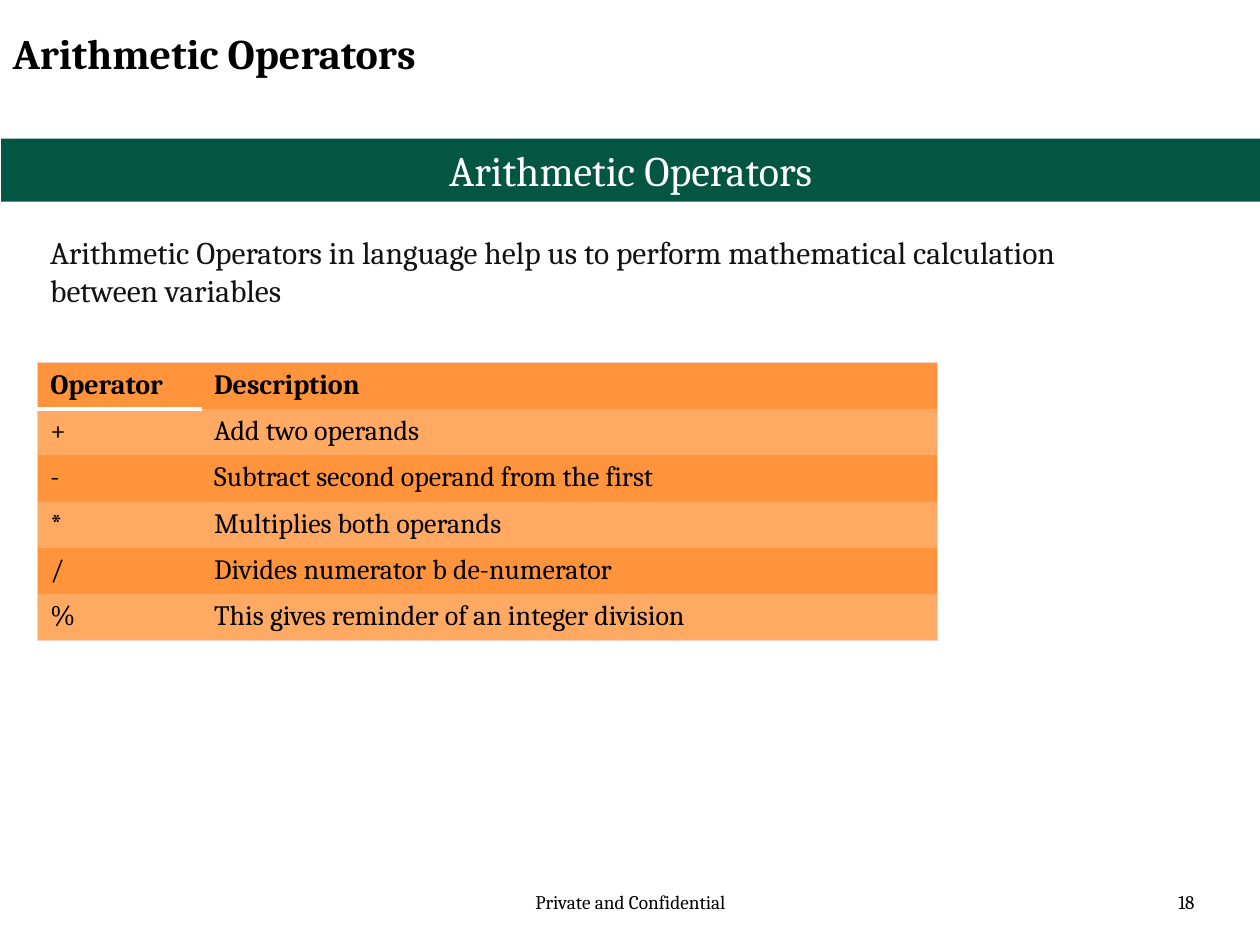
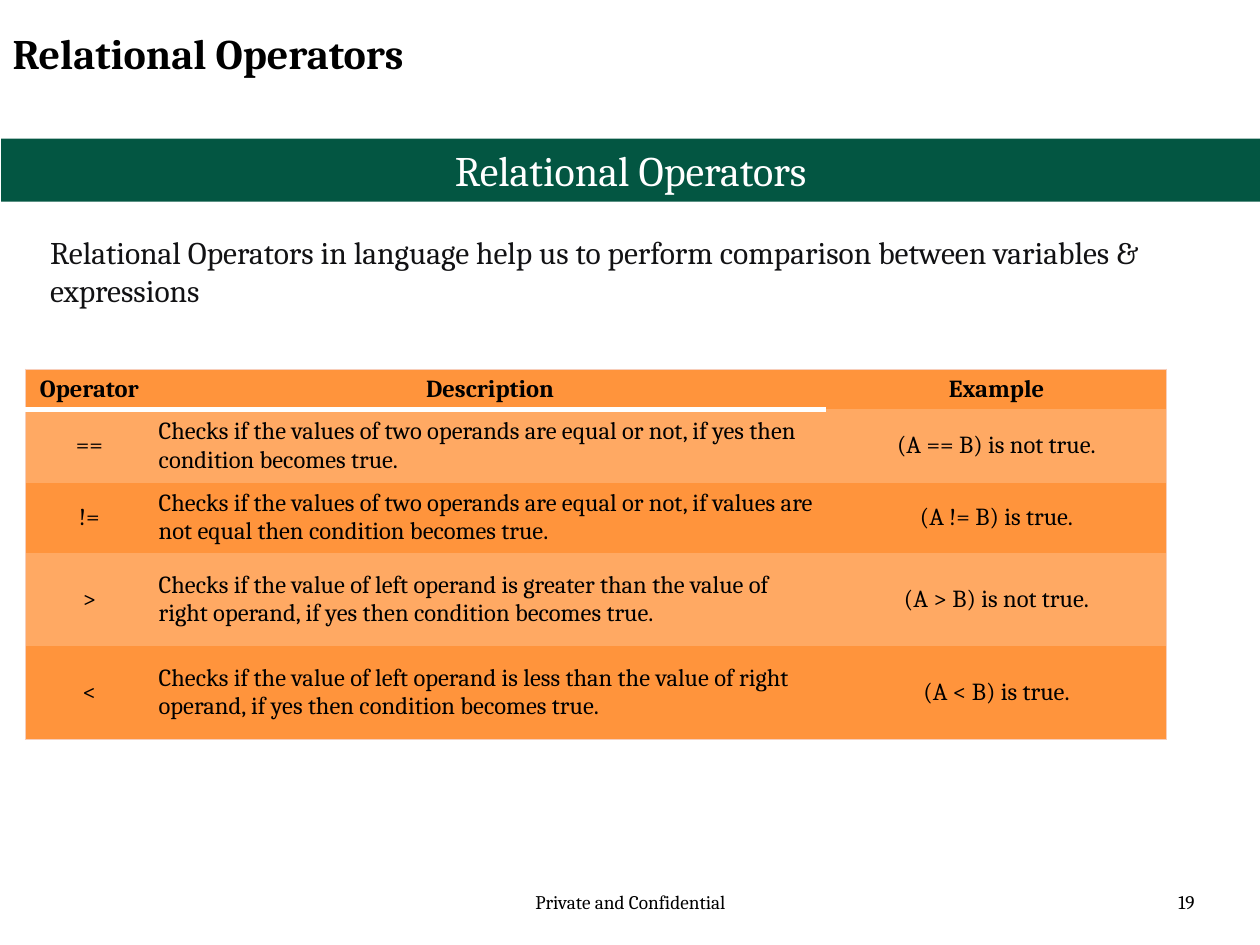
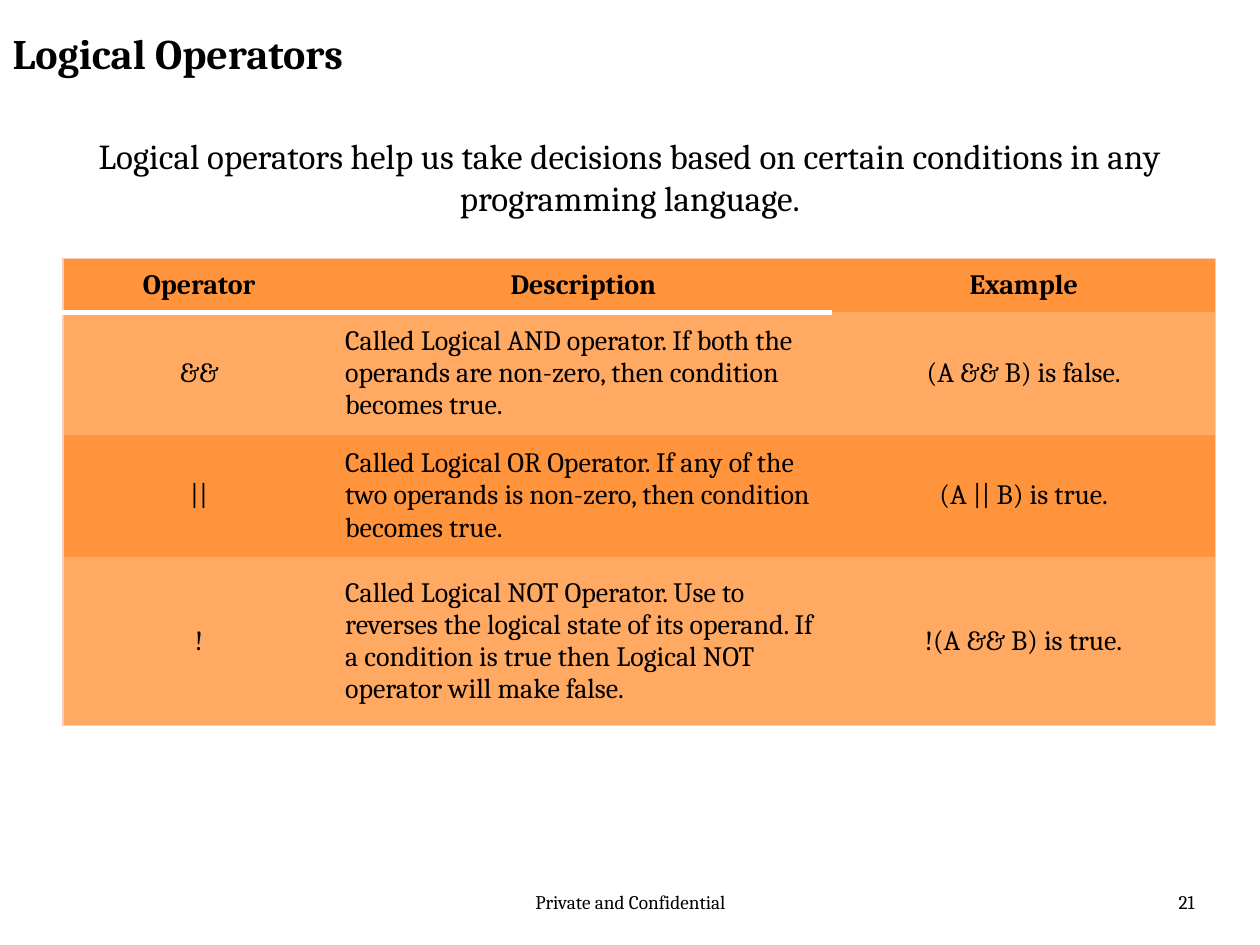
from lxml import etree
from pptx import Presentation
from pptx.dml.color import RGBColor
from pptx.enum.shapes import MSO_SHAPE
from pptx.enum.text import MSO_ANCHOR, PP_ALIGN
from pptx.oxml.ns import qn
from pptx.util import Inches, Pt

# Shared look
FONT = "Cambria"
BLACK = RGBColor(0x00, 0x00, 0x00)
INK = RGBColor(0x12, 0x12, 0x14)
WHITE = RGBColor(0xFF, 0xFF, 0xFF)
GREEN = RGBColor(0x03, 0x56, 0x42)
ORANGE = RGBColor(0xFF, 0x94, 0x3C)
LIGHT_ORANGE = RGBColor(0xFF, 0xA9, 0x63)
PEACH = RGBColor(0xF7, 0xCE, 0xBB)
LEFT, CENTER, RIGHT = PP_ALIGN.LEFT, PP_ALIGN.CENTER, PP_ALIGN.RIGHT
TOP, MIDDLE = MSO_ANCHOR.TOP, MSO_ANCHOR.MIDDLE
RECTANGLE = MSO_SHAPE.RECTANGLE
TITLE_ONLY = 5
NO_GRID_STYLE = "{2D5ABB26-0587-4C30-8999-92F81FD0307C}"
FOOTER = "Private and Confidential"


def box(*lengths):
    return [Inches(n) for n in lengths]


def write(tf, text, size, color=BLACK, align=LEFT, bold=False):
    p = tf.paragraphs[0]
    p.alignment = align
    r = p.add_run()
    r.text = text
    r.font.color.rgb = color
    for name, value in {"name": FONT, "size": Pt(size), "bold": bold}.items():
        setattr(r.font, name, value)


def add_text(s, text, at, size, color=BLACK, align=LEFT):
    tf = s.shapes.add_textbox(*box(*at)).text_frame
    tf.word_wrap = True
    write(tf, text, size, color, align)


def add_base(prs, title, number):
    """Slide with the title and the footer line."""
    s = prs.slides.add_slide(prs.slide_layouts[TITLE_ONLY])
    sp = s.shapes.title
    sp.left, sp.top, sp.width, sp.height = box(0, 0.17, 7.58, 0.62)
    sp.text_frame.vertical_anchor = TOP
    write(sp.text_frame, title, 24, bold=True)
    add_text(s, FOOTER, (3.42, 7.02, 3.17, 0.4), 11, align=CENTER)
    add_text(s, str(number), (7.25, 7.02, 2.33, 0.4), 11, align=RIGHT)
    return s


def add_band(s, text):
    sp = s.shapes.add_shape(RECTANGLE, *box(0.01, 1.1, 9.99, 0.5))
    sp.shadow.inherit = False
    sp.fill.solid()
    sp.fill.fore_color.rgb = GREEN
    sp.line.fill.background()
    write(sp.text_frame, text, 24, WHITE, CENTER)


def add_border(cell, side, color, width):
    ln = etree.SubElement(cell._tc.get_or_add_tcPr(), qn(f"a:ln{side}"), w=str(Pt(width)))
    fill = etree.SubElement(ln, qn("a:solidFill"))
    etree.SubElement(fill, qn("a:srgbClr"), val=str(color))


def add_operator_table(s, at, widths, heights, rows, size, inset=None):
    """Striped table; an inset also centres every column but the description."""
    left, top = at
    frame = s.shapes.add_table(len(rows), len(widths),
                               *box(left, top, sum(widths), sum(heights)))
    table = frame.table
    table._tbl.tblPr.find(qn("a:tableStyleId")).text = NO_GRID_STYLE
    for column, width in zip(table.columns, widths):
        column.width = Inches(width)
    for row, height in zip(table.rows, heights):
        row.height = Inches(height)

    last_row, last_col = len(rows) - 1, len(widths) - 1
    for i, values in enumerate(rows):
        for j, text in enumerate(values):
            cell = table.cell(i, j)
            # Outer frame, and a white rule below the header
            edges = {"L": j == 0, "R": j == last_col, "T": i == 0, "B": i == last_row}
            for side, on_edge in edges.items():
                if on_edge:
                    add_border(cell, side, PEACH, 0.75)
            if i == 0 and j < last_col:
                add_border(cell, "B", WHITE, 3)
            cell.fill.solid()
            cell.fill.fore_color.rgb = LIGHT_ORANGE if i % 2 else ORANGE

            align = LEFT
            if inset:
                cell.vertical_anchor = MIDDLE
                for side in ("left", "right", "top", "bottom"):
                    setattr(cell, f"margin_{side}", Inches(inset))
                if i == 0 or j != 1:
                    align = CENTER
            write(cell.text_frame, text, size, align=align, bold=i == 0)


def add_banded(prs, title, number, intro):
    s = add_base(prs, title, number)
    add_band(s, title)
    add_text(s, intro, (0.3, 1.8, 8.9, 0.71), 18, INK)
    return s


def main():
    prs = Presentation()
    prs.slide_width, prs.slide_height = box(10, 7.5)

    # Arithmetic operators
    s = add_banded(prs, "Arithmetic Operators", 18,
                   "Arithmetic Operators in language help us to perform "
                   "mathematical calculation between variables")
    rows = [
        ("Operator", "Description"),
        ("+", "Add two operands"),
        ("-", "Subtract second operand from the first"),
        ("*", "Multiplies both operands"),
        ("/", "Divides numerator b de-numerator"),
        ("%", "This gives reminder of an integer division"),
    ]
    add_operator_table(s, (0.3, 2.88), (1.3, 5.84), [2.2 / len(rows)] * len(rows), rows, 16)

    # Relational operators
    s = add_banded(prs, "Relational Operators", 19,
                   "Relational Operators in language help us to perform "
                   "comparison between variables & expressions")
    rows = [
        ("Operator", "Description", "Example"),
        ("==", "Checks if the values of two operands are equal or not, "
               "if yes then condition becomes true.", "(A == B) is not true."),
        ("!=", "Checks if the values of two operands are equal or not, "
               "if values are not equal then condition becomes true.", "(A != B) is true."),
        (">", "Checks if the value of left operand is greater than the value of "
              "right operand, if yes then condition becomes true.", "(A > B) is not true."),
        ("<", "Checks if the value of left operand is less than the value of "
              "right operand, if yes then condition becomes true.", "(A < B) is true."),
    ]
    add_operator_table(s, (0.2, 2.93), (1.02, 5.34, 2.7),
                       (0.32, 0.58, 0.56, 0.74, 0.74), rows, 14, inset=0.04)

    # Logical operators
    s = add_base(prs, "Logical Operators", 21)
    add_text(s, "Logical operators help us take decisions based on certain "
                "conditions in any programming language.",
             (0, 1.02, 10, 0.77), 20, align=CENTER)
    rows = [
        ("Operator", "Description", "Example"),
        ("&&", "Called Logical AND operator. If both the operands are non-zero, "
               "then condition becomes true.", "(A && B) is false."),
        ("||", "Called Logical OR Operator. If any of the two operands is non-zero, "
               "then condition becomes true.", "(A || B) is true."),
        ("!", "Called Logical NOT Operator. Use to reverses the logical state of its "
              "operand. If a condition is true then Logical NOT operator will make false.",
         "!(A && B) is true."),
    ]
    add_operator_table(s, (0.5, 2.05), (2.16, 3.94, 3.05),
                       (0.43, 0.97, 0.97, 1.34), rows, 16, inset=0.08)

    prs.save("out.pptx")


if __name__ == "__main__":
    main()
